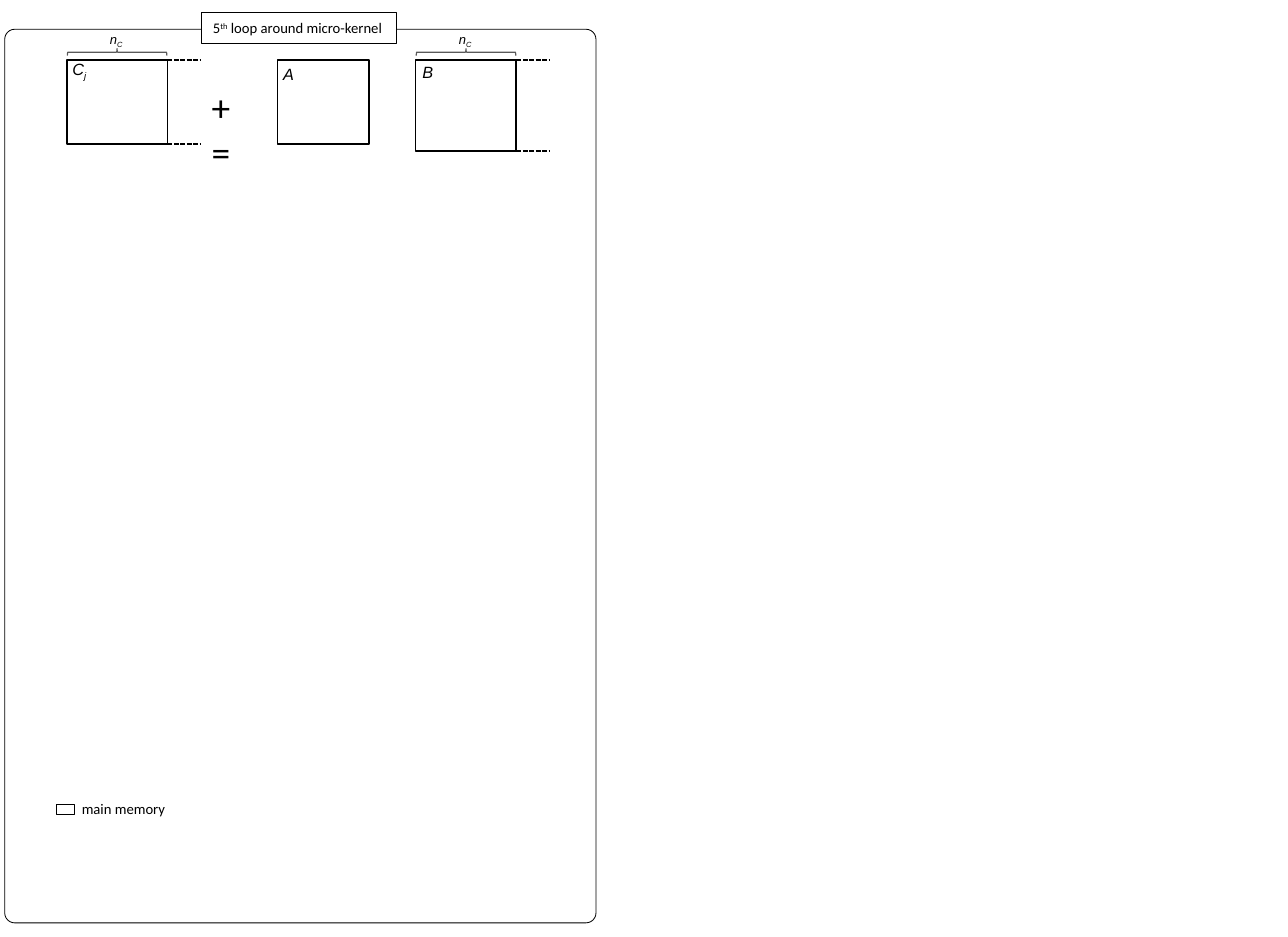
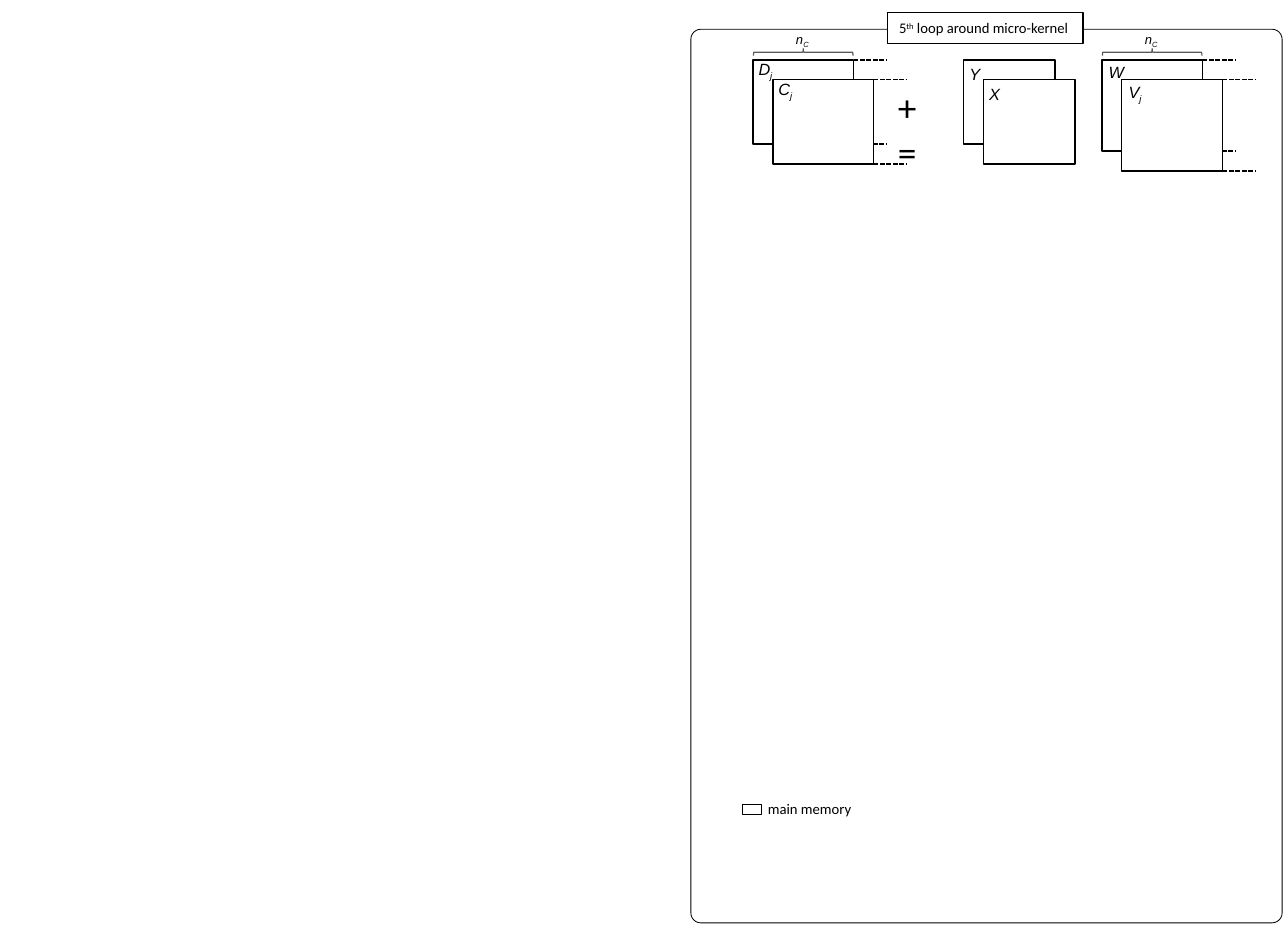
"""Build two slides showing the fifth loop around a matrix micro-kernel."""
import pptx
import pptx.dml.color
import pptx.enum.dml
import pptx.enum.shapes
import pptx.enum.text
import pptx.oxml.xmlchemy
import pptx.util
from pptx.util import Inches

BLACK = pptx.dml.color.RGBColor(0x00, 0x00, 0x00)
GRAY = pptx.dml.color.RGBColor(0x59, 0x59, 0x59)
WHITE = pptx.dml.color.RGBColor(0xFF, 0xFF, 0xFF)
SHAPES = pptx.enum.shapes.MSO_SHAPE

SECOND_PANEL = 5.86
LAYER_SHIFT = 0.17
MATRIX_TOP = 0.51
C_LEFT, A_LEFT, B_LEFT = 0.57, 2.37, 3.55
BLOCK_WIDTH = 0.86
DASH_LENGTH = 0.28
MATRICES = [
    (A_LEFT, 0.78, 0.72, False, (-0.05, -0.01)),
    (B_LEFT, BLOCK_WIDTH, 0.78, True, (-0.04, -0.03)),
    (C_LEFT, BLOCK_WIDTH, 0.72, True, (-0.05, -0.05)),
]


class Diagram:
    """Holds the style and the current slide, and draws each kind of element."""

    def __init__(self, presentation, left):
        self.slide = presentation.slides.add_slide(presentation.slide_layouts[6])
        self.shapes = self.slide.shapes
        self.left = left

    def set_text(self, shape, parts, size, font, italic=False, wrap=False):
        """Fill a shape with runs given as text and baseline percentage pairs."""
        frame = shape.text_frame
        frame.word_wrap = wrap
        paragraph = frame.paragraphs[0]
        paragraph.alignment = pptx.enum.text.PP_ALIGN.LEFT
        for text, baseline in parts:
            run = paragraph.add_run()
            run.text = text
            run.font.size = pptx.util.Pt(size)
            run.font.name = font
            run.font.italic = italic
            run.font.color.rgb = BLACK
            if baseline:
                run.font._element.set("baseline", str(baseline * 1000))

    def text(self, left, top, width, height, parts, size, font="Calibri", italic=False, wrap=False):
        """Add a text box."""
        box = self.shapes.add_textbox(
            Inches(self.left + left), Inches(top), Inches(width), Inches(height))
        self.set_text(box, parts, size, font, italic, wrap)

    def shape(self, kind, left, top, width, height, weight, fill=WHITE, line=BLACK):
        """Add an outlined preset shape."""
        shape = self.shapes.add_shape(
            kind, Inches(self.left + left), Inches(top), Inches(width), Inches(height))
        shape.shadow.inherit = False
        if fill is None:
            shape.fill.background()
        else:
            shape.fill.solid()
            shape.fill.fore_color.rgb = fill
        shape.line.color.rgb = line
        shape.line.width = pptx.util.Pt(weight)
        return shape

    def dash(self, left, top):
        """Add a short dashed line to the right of a matrix."""
        start = self.left + left
        connector = self.shapes.add_connector(
            pptx.enum.shapes.MSO_CONNECTOR.STRAIGHT, Inches(start), Inches(top),
            Inches(start + DASH_LENGTH), Inches(top))
        connector.line.color.rgb = BLACK
        connector.line.width = pptx.util.Pt(1)
        connector.line.dash_style = pptx.enum.dml.MSO_LINE.SQUARE_DOT
        effects = pptx.oxml.xmlchemy.OxmlElement("a:effectLst")
        connector._element.spPr.append(effects)

    def layer(self, shift, names):
        """Add one grouped layer of the matrices, moved right and down by shift."""
        self.shapes = self.slide.shapes.add_group_shape().shapes
        top = MATRIX_TOP + shift
        for name, (left, width, height, dashed, offset) in zip(names, MATRICES):
            left += shift
            self.shape(SHAPES.RECTANGLE, left, top, width, height, 1)
            if dashed:
                for edge in (top, top + height):
                    self.dash(left + width, edge)
            parts = list(zip(name, (0, -25)))
            self.text(left + offset[0], top + offset[1], 0.34, 0.27,
                      parts, 10, "Arial", italic=True)
        self.shapes = self.slide.shapes

    def panel(self):
        """Add the frame, loop label, operator and legend."""
        frame = self.shape(SHAPES.ROUNDED_RECTANGLE, 0.04, 0.25, 5.05, 7.63, 0.5, fill=None)
        frame.adjustments[0] = 0.017
        label = self.shape(SHAPES.RECTANGLE, 1.72, 0.11, 1.67, 0.26, 0.75)
        self.set_text(label, [("5", 0), ("th", 30), (" loop around micro-kernel", 0)], 9, "Calibri",
                      wrap=True)
        self.text(1.71, 0.67, 0.45, 0.4, [("+=", 0)], 23, wrap=True)
        self.shape(SHAPES.RECTANGLE, 0.48, 6.87, 0.16, 0.08, 0.5)
        self.text(0.6, 6.78, 0.92, 0.25, [("main memory", 0)], 9)

    def width_mark(self, matrix_left):
        """Add a brace and the block size above a matrix."""
        center = matrix_left + BLOCK_WIDTH / 2
        brace = self.shape(SHAPES.RIGHT_BRACE, center - 0.03, 0.02, 0.06, 0.85,
                           0.75, fill=None, line=GRAY)
        brace.rotation = 270
        self.text(center - 0.16, 0.22, 0.33, 0.24, [("n", 0), ("C", -25)],
                  8, "Arial", italic=True)


def main():
    """Build and save the presentation."""
    presentation = pptx.Presentation()
    presentation.slide_width = Inches(11)
    presentation.slide_height = Inches(8)
    for left, layers in [
        (0, [("A", "B", "Cj")]),
        (SECOND_PANEL, [("Y", "W", "Dj"), ("X", "Vj", "Cj")]),
    ]:
        diagram = Diagram(presentation, left)
        diagram.panel()
        for matrix_left in (B_LEFT, C_LEFT):
            diagram.width_mark(matrix_left)
        for index, names in enumerate(layers):
            diagram.layer(index * LAYER_SHIFT, names)
    presentation.save("out.pptx")


if __name__ == "__main__":
    main()
